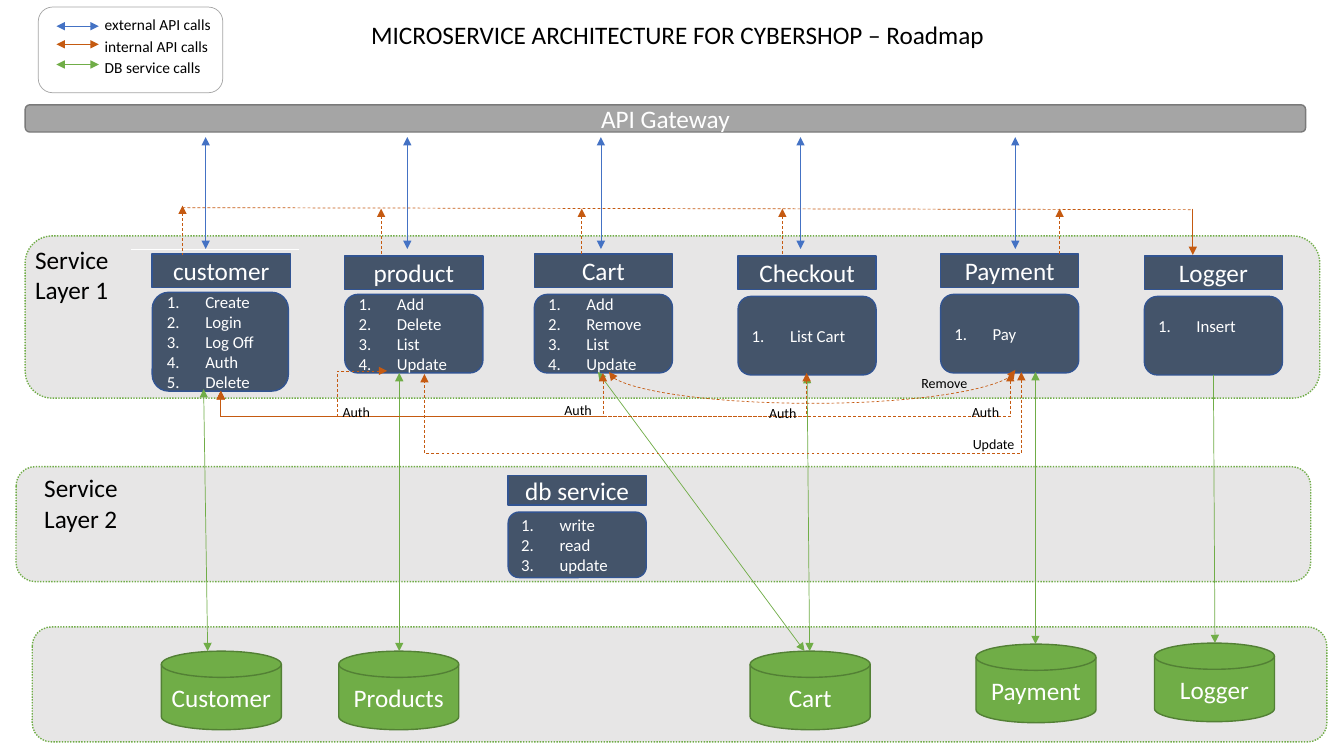
from lxml.etree import SubElement as Sub
from pptx import Presentation
from pptx.dml.color import RGBColor
from pptx.enum.dml import MSO_LINE as Dash
from pptx.enum.shapes import MSO_CONNECTOR as Link, MSO_SHAPE as Shape
from pptx.enum.text import MSO_ANCHOR as Anchor, PP_ALIGN as Align
from pptx.oxml.ns import qn
from pptx.util import Inches, Pt

WHITE = RGBColor(0xFF, 0xFF, 0xFF)
BLACK = RGBColor(0, 0, 0)
PALE = RGBColor(0xE7, 0xE6, 0xE6)
GRAY = RGBColor(0xA5, 0xA5, 0xA5)
STEEL = RGBColor(0x7A, 0x7A, 0x7A)
SLATE = RGBColor(0x44, 0x54, 0x6A)
NAVY = RGBColor(0x32, 0x54, 0x91)
BLUE = RGBColor(0x44, 0x72, 0xC4)
RUST = RGBColor(0xC5, 0x5A, 0x11)
GREEN = RGBColor(0x70, 0xAD, 0x47)
MOSS = RGBColor(0x53, 0x80, 0x35)

deck = Presentation()
deck.slide_width, deck.slide_height = Inches(13.33), Inches(7.5)
slide = deck.slides.add_slide(deck.slide_layouts[5])
items = slide.shapes


def put(box, words="", node=None, kind=None, fill=None, edge=None, width=1,
        dots=False, size=18, hue=BLACK, align=Align.LEFT, anchor=Anchor.TOP,
        count=False, foot=0.05):
    spot = [Inches(v) for v in box]
    if node:
        node.left, node.top, node.width, node.height = spot
    elif kind:
        node = items.add_shape(kind, *spot)
        node.shadow.inherit = False
        node.fill.solid()
        node.fill.fore_color.rgb = fill
        node.line.color.rgb = edge
        node.line.width = Pt(width)
        if dots:
            node.line.dash_style = Dash.ROUND_DOT
    else:
        node = items.add_textbox(*spot)
    if not words:
        return node
    frame = node.text_frame
    frame.word_wrap = True
    frame.vertical_anchor = anchor
    frame.margin_bottom = Inches(foot)
    frame.text = words
    for para in frame.paragraphs:
        para.alignment = align
        font = para.runs[0].font
        font.name, font.size, font.color.rgb = "Calibri", Pt(size), hue
        if count:
            props = para._p.get_or_add_pPr()
            props.set("marL", str(Inches(0.38)))
            props.set("indent", str(-Inches(0.38)))
            Sub(props, qn("a:buFont"), typeface="+mj-lt")
            Sub(props, qn("a:buAutoNum"), type="arabicPeriod")
    return node


def wire(x1, y1, x2, y2, hue, head=True, tail=True, dash=False,
         kind=Link.STRAIGHT, drop=None, side=None):
    bends = []
    if side:
        bends = [(x1 - side) / (x1 - x2), (drop - y1) / (y2 - y1)]
    elif drop:
        wide, high = y2 - y1, x1 - x2
        bends = [(drop - y1) / wide]
        x1, y1 = (x1 + x2 - wide) / 2, (y1 + y2 - high) / 2
        x2, y2 = x1 + wide, y1 + high
    link = items.add_connector(kind, *[Inches(v) for v in (x1, y1, x2, y2)])
    link.line.color.rgb = hue
    link.line.width = Pt(0.5)
    if dash:
        link.line.dash_style = Dash.DASH
    props = link.element.spPr
    for end, shown in (("a:headEnd", head), ("a:tailEnd", tail)):
        if shown:
            Sub(props.find(qn("a:ln")), qn(end), type="triangle")
    Sub(props, qn("a:effectLst"))
    form = props.find(qn("a:prstGeom"))
    if side:
        form.set("prst", "bentConnector4")
    elif drop:
        props.find(qn("a:xfrm")).set("rot", "5400000")
    for num, bend in enumerate(bends, 1):
        Sub(form.find(qn("a:avLst")), qn("a:gd"), name=f"adj{num}",
            fmla=f"val {round(bend * 100000)}")
    return link


mid = dict(hue=WHITE, align=Align.CENTER, anchor=Anchor.MIDDLE)
ROUND = Shape.FLOWCHART_ALTERNATE_PROCESS

put((3.58, 0.14, 7.54, 0.4), "MICROSERVICE ARCHITECTURE FOR CYBERSHOP – Roadmap",
    node=items.title)
for left, top, high in ((0.16, 4.63, 1.14), (0.25, 2.34, 1.61), (0.32, 6.22, 1.14)):
    put((left, top, 12.84, high), kind=ROUND, fill=PALE, edge=GREEN, dots=True)
put((0.38, 0.07, 1.83, 0.85), kind=ROUND, fill=WHITE, edge=GRAY, width=0.5)
put((0.25, 1.04, 12.7, 0.27), "API Gateway", kind=Shape.ROUNDED_RECTANGLE,
    fill=GRAY, edge=STEEL, **mid)
wire(1.3, 2.47, 2.97, 2.47, WHITE, head=False, tail=False)

cards = {}
for name, left, top, high, low, wide, deep, calls, foot in (
    ("customer", 1.51, 2.52, 0.33, 2.9, 1.35, 0.98,
     "Create\nLogin\nLog Off\nAuth\nDelete", 0.05),
    ("product", 3.42, 2.54, 0.33, 2.92, 1.37, 0.78, "Add\nDelete\nList\nUpdate", 0.05),
    ("Cart", 5.3, 2.52, 0.33, 2.92, 1.37, 0.78, "Add\nRemove\nList\nUpdate", 0.05),
    ("Checkout", 7.32, 2.54, 0.33, 2.94, 1.37, 0.78, "List Cart", 0.05),
    ("Payment", 9.33, 2.52, 0.33, 2.92, 1.37, 0.78, "Pay", 0.05),
    ("Logger", 11.35, 2.54, 0.33, 2.94, 1.37, 0.78, "Insert", 0.25),
    ("db service", 5.04, 4.72, 0.29, 5.08, 1.37, 0.65, "write\nread\nupdate", 0.05),
):
    cards[name] = put((left, low, wide, deep), calls, kind=ROUND, fill=SLATE,
                      edge=NAVY, size=12, hue=WHITE, anchor=Anchor.MIDDLE,
                      count=True, foot=foot)
    put((left, top, 1.37, high), name, kind=Shape.FLOWCHART_PROCESS,
        fill=SLATE, edge=NAVY, **mid)

for x in (2.04, 4.04, 5.96, 7.94, 10.07):
    wire(x, 1.36, x, 2.47, BLUE)

for name, left, top in (("Customer", 1.6, 6.46), ("Products", 3.36, 6.46),
                        ("Cart", 7.44, 6.46), ("Payment", 9.68, 6.39),
                        ("Logger", 11.45, 6.38)):
    put((left, top, 1.19, 0.78), name, kind=Shape.FLOWCHART_MAGNETIC_DISK,
        fill=GREEN, edge=MOSS, **mid)

for x1, y1, x2, y2, card in (
    (2.02, 3.86, 2.06, 6.46, None), (3.96, 3.7, 3.96, 6.46, None),
    (5.93, 3.69, 7.98, 6.46, None), (8, 3.72, 8.03, 6.46, "Checkout"),
    (10.27, 3.69, 10.27, 6.39, None), (12.04, 3.72, 12.05, 6.38, "Logger"),
):
    link = wire(x1, y1, x2, y2, GREEN, head=card != "Logger")
    if card:
        link.begin_connect(cards[card], 2)

wire(1.81, 2.06, 11.83, 2.08, RUST, head=False, tail=False, dash=True)
for x, top in ((1.81, 2.04), (3.78, 2.07), (5.77, 2.07), (7.76, 2.07), (10.51, 2.07)):
    wire(x, top, x, 2.53, RUST, tail=False, dash=True)
wire(11.83, 2.07, 11.83, 2.53, RUST, head=False)

wire(10.07, 3.67, 6.04, 3.69, RUST, dash=True, kind=Link.CURVE, drop=4)
wire(10.13, 3.69, 4.21, 3.71, RUST, dash=True, kind=Link.ELBOW, drop=4.49)
wire(3.84, 3.68, 2.19, 3.88, RUST, dash=True, kind=Link.ELBOW, drop=4.13, side=3.35)
for x in (5.98, 8, 10.02):
    wire(x, 3.7, 2.19, 3.88, RUST, dash=True, kind=Link.ELBOW, drop=4.13)

for y, hue, top, words in ((0.26, BLUE, 0.1, "external API calls"),
                           (0.44, RUST, 0.32, "internal API calls"),
                           (0.64, GREEN, 0.53, "DB service calls")):
    wire(0.56, y, 0.98, y, hue)
    put((0.94, top, 2.03, 0.29), words, size=11)

for left, top, words in ((3.3, 3.95, "Auth"), (5.5, 3.93, "Auth"),
                         (7.53, 3.96, "Auth"), (9.54, 3.95, "Auth"),
                         (9.55, 4.27, "Update"), (9.04, 3.67, "Remove")):
    put((left, top, 0.8, 0.27), words, size=10)
put((0.25, 2.37, 1.45, 0.71), "Service\nLayer 1")
put((0.34, 4.64, 1.45, 0.71), "Service Layer 2")

deck.save("out.pptx")
